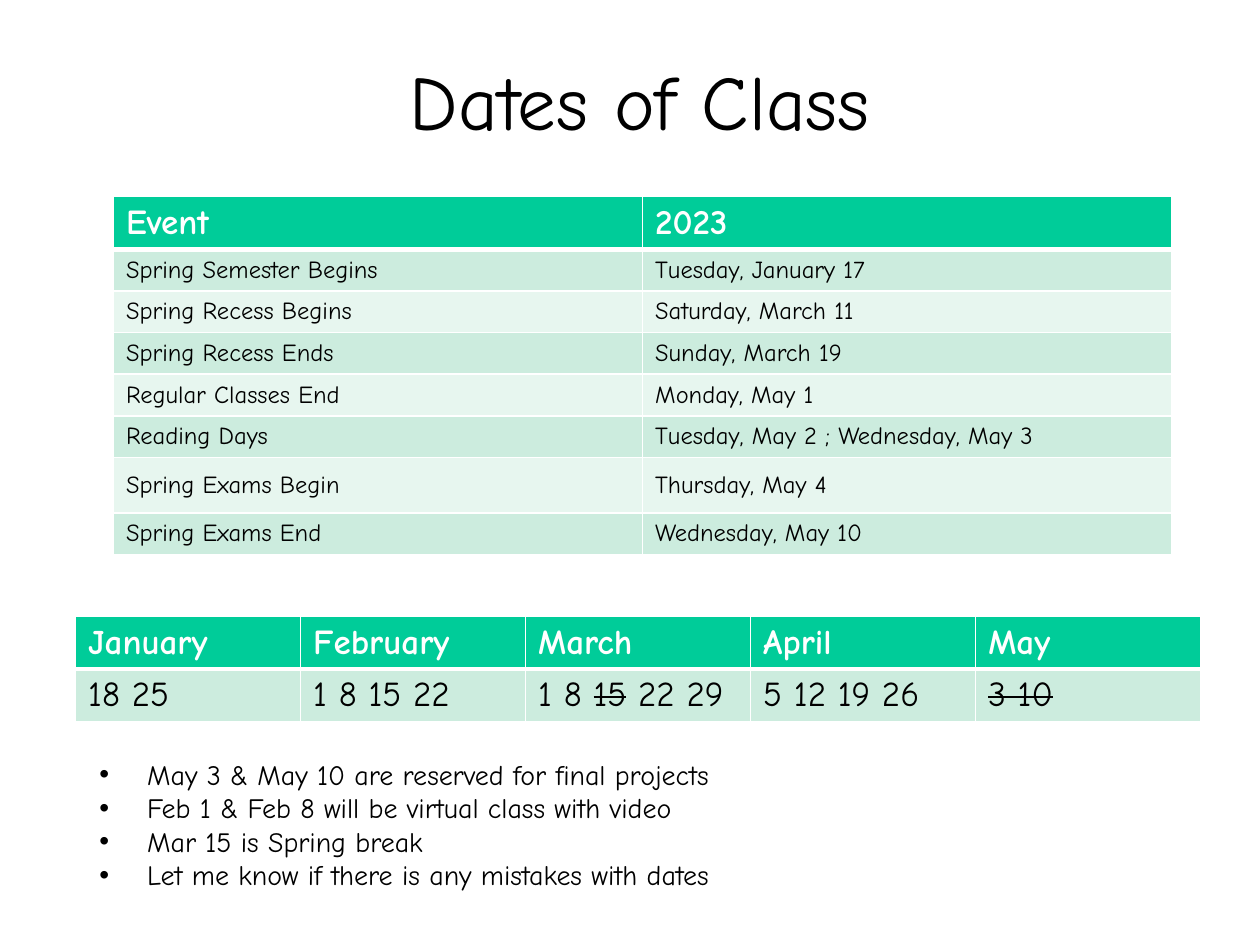
from dataclasses import dataclass

from lxml.etree import SubElement
from pptx import Presentation
from pptx.dml.color import RGBColor
from pptx.enum.text import MSO_ANCHOR, PP_ALIGN
from pptx.oxml import parse_xml
from pptx.oxml.ns import nsdecls, qn
from pptx.util import Inches, Pt


@dataclass(frozen=True)
class Theme:
    font: str = "Comic Neue"
    ink: str = "000000"
    paper: str = "FFFFFF"
    header: str = "00CC99"
    bands: tuple = ("CCECDE", "E7F6EF")
    title_size: int = 44
    heading_size: int = 20
    event_size: int = 14
    note_size: int = 16
    rule: int = 1
    header_rule: int = 3


THEME = Theme()
STRIKE = "~"

EVENTS = [
    ("Event", "2023"),
    ("Spring Semester Begins", "Tuesday, January 17"),
    ("Spring Recess Begins", "Saturday, March 11"),
    ("Spring Recess Ends", "Sunday, March 19"),
    ("Regular Classes End", "Monday, May 1"),
    ("Reading Days", "Tuesday, May 2 ; Wednesday, May 3"),
    ("Spring Exams Begin", "Thursday, May 4"),
    ("Spring Exams End", "Wednesday, May 10"),
]
MEETINGS = [
    ("January", "February", "March", "April", "May"),
    ("18 25", "1 8 15 22", "1 8 ~15~ 22 29", "5 12 19 26", "~3 10~"),
]
NOTES = [
    "May 3 & May 10 are reserved for final projects",
    "Feb 1 & Feb 8 will be virtual class with video",
    "Mar 15 is Spring break",
    "Let me know if there is any mistakes with dates",
]


def style(run, size, color=THEME.ink, bold=False):
    run.font.name = THEME.font
    run.font.size = Pt(size)
    run.font.bold = bold
    run.font.color.rgb = RGBColor.from_string(color)


def rule_cell(cell, bottom):
    properties = cell._tc.get_or_add_tcPr()
    widths = {"L": THEME.rule, "R": THEME.rule, "T": THEME.rule, "B": bottom}
    for position, (side, width) in enumerate(widths.items()):
        properties.insert(position, parse_xml(
            f'<a:ln{side} {nsdecls("a")} w="{Pt(width)}"><a:solidFill>'
            f'<a:srgbClr val="{THEME.paper}"/></a:solidFill></a:ln{side}>'))


def write_struck(paragraph, marked, size, color, bold):
    for index, words in enumerate(marked.split(STRIKE)):
        if not words:
            continue
        run = paragraph.add_run()
        run.text = words
        style(run, size, color, bold)
        if index % 2:
            run._r.get_or_add_rPr().set("strike", "sngStrike")


def add_schedule(slide, box, rows, heights, body_size):
    columns = len(rows[0])
    schedule = slide.shapes.add_table(len(rows), columns, *box).table
    for column in schedule.columns:
        column.width = int(box[2] / columns)
    for r, (entries, height) in enumerate(zip(rows, heights)):
        schedule.rows[r].height = Inches(height)
        heading = r == 0
        fill = THEME.header if heading else THEME.bands[(r - 1) % 2]
        for c, entry in enumerate(entries):
            cell = schedule.cell(r, c)
            cell.vertical_anchor = MSO_ANCHOR.MIDDLE
            cell.fill.solid()
            cell.fill.fore_color.rgb = RGBColor.from_string(fill)
            rule_cell(cell, THEME.header_rule if heading else THEME.rule)
            write_struck(cell.text_frame.paragraphs[0], entry,
                         THEME.heading_size if heading else body_size,
                         THEME.paper if heading else THEME.ink, heading)


def add_title(slide, box, words):
    title = slide.shapes.title
    title.left, title.top, title.width, title.height = box
    title.text_frame.text = words
    title.text_frame.vertical_anchor = MSO_ANCHOR.MIDDLE
    heading = title.text_frame.paragraphs[0]
    heading.alignment = PP_ALIGN.CENTER
    style(heading.runs[0], THEME.title_size)


def add_notes(slide, box, notes):
    frame = slide.shapes.add_textbox(*box).text_frame
    frame.word_wrap = True
    frame.text = "\n".join(notes)
    for note in frame.paragraphs:
        style(note.runs[0], THEME.note_size)
        properties = note._p.get_or_add_pPr()
        properties.set("marL", str(Inches(0.38)))
        properties.set("indent", str(Inches(-0.38)))
        SubElement(properties, qn("a:buFont"), typeface="Arial")
        SubElement(properties, qn("a:buChar"), char="•")


def inches(*lengths):
    return tuple(Inches(length) for length in lengths)


def main():
    deck = Presentation()
    deck.slide_width, deck.slide_height = inches(10, 7.5)
    slide = deck.slides.add_slide(deck.slide_layouts[5])
    add_title(slide, inches(0.83, 0.17, 8.5, 1.25), "Dates of Class")
    add_schedule(slide, inches(0.9, 1.56, 8.4, 2.87), EVENTS,
                 [0.41] + [0.33] * 5 + [0.44, 0.33], THEME.event_size)
    add_schedule(slide, inches(0.6, 4.89, 8.93, 0.81), MEETINGS,
                 [0.41, 0.41], THEME.heading_size)
    add_notes(slide, inches(0.69, 5.96, 8.78, 1.51), NOTES)
    deck.save("out.pptx")


if __name__ == "__main__":
    main()
